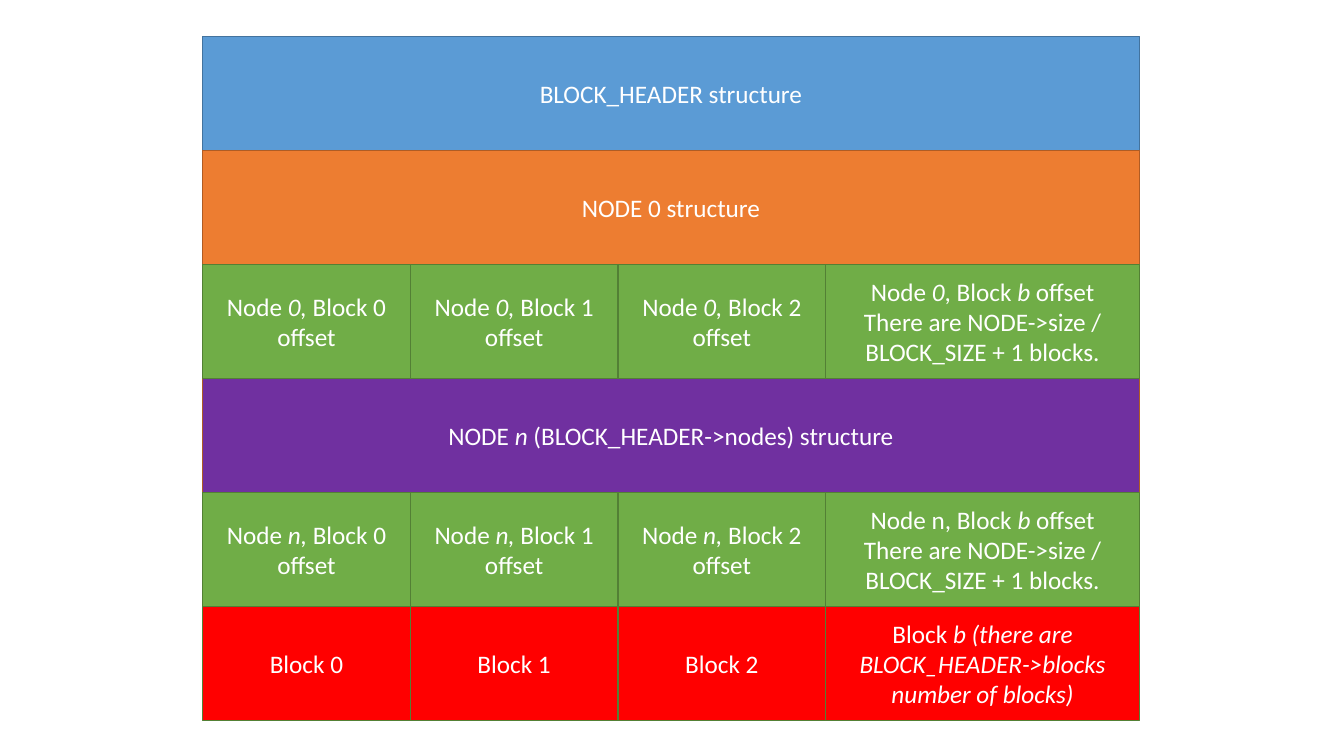
from pptx import Presentation
from pptx.dml.color import RGBColor
from pptx.enum.shapes import MSO_SHAPE as Shape
from pptx.enum.text import MSO_ANCHOR as Anchor, PP_ALIGN as Align
from pptx.util import Inches, Pt

BLUE, BLUE_EDGE = RGBColor(0x5B, 0x9B, 0xD5), RGBColor(0x43, 0x73, 0x9E)
ORANGE, ORANGE_EDGE = RGBColor(0xED, 0x7D, 0x31), RGBColor(0xAF, 0x5C, 0x24)
GREEN, GREEN_EDGE = RGBColor(0x70, 0xAD, 0x47), RGBColor(0x53, 0x80, 0x35)
PURPLE = RGBColor(0x70, 0x30, 0xA0)
RED = RGBColor(0xFF, 0x00, 0x00)
WHITE = RGBColor(0xFF, 0xFF, 0xFF)

# Layout of the memory map, in inches
LEFT, TOP, WIDTH, HEIGHT, ROWS = 2.01, 0.36, 9.29, 6.79, 6
ROW_HEIGHT = HEIGHT / ROWS
BLOCK_WIDTH, NUMBERED_BLOCKS = 2.06, 3


class MemoryMap:
    """Holds the slide and the style of its cells."""

    font_format = {"name": "Calibri", "size": Pt(18)}

    def __init__(self, slide):
        self.slide = slide

    def cell(self, row, left, width, text, fill, edge):
        box = self.slide.shapes.add_shape(
            Shape.RECTANGLE, Inches(left), Inches(TOP + row * ROW_HEIGHT),
            Inches(width), Inches(ROW_HEIGHT))
        box.shadow.inherit = False
        box.fill.solid()
        box.fill.fore_color.rgb = fill
        box.line.color.rgb = edge
        box.line.width = Pt(1)
        self.label(box.text_frame, text)

    def label(self, frame, text):
        """Newlines part paragraphs; asterisks enclose italics."""
        frame.word_wrap = True
        frame.vertical_anchor = Anchor.MIDDLE
        for index, line in enumerate(text.split("\n")):
            paragraph = frame.add_paragraph() if index else frame.paragraphs[0]
            paragraph.alignment = Align.CENTER
            for part, words in enumerate(line.split("*")):
                if words:
                    run = paragraph.add_run()
                    run.text = words
                    run.font.color.rgb = WHITE
                    run.font.italic = part % 2 == 1
                    for key, value in self.font_format.items():
                        setattr(run.font, key, value)

    def band(self, row, text, fill, edge):
        self.cell(row, LEFT, WIDTH, text, fill, edge)

    def block_row(self, row, numbered_text, last_text, fill):
        for block in range(NUMBERED_BLOCKS):
            self.cell(row, LEFT + block * BLOCK_WIDTH, BLOCK_WIDTH,
                      numbered_text.format(block), fill, GREEN_EDGE)
        used = NUMBERED_BLOCKS * BLOCK_WIDTH
        self.cell(row, LEFT + used, WIDTH - used, last_text, fill, GREEN_EDGE)


deck = Presentation()
deck.slide_width, deck.slide_height = Inches(13.33), Inches(7.5)
memory = MemoryMap(deck.slides.add_slide(deck.slide_layouts[6]))

# Header and node structures
memory.band(0, "BLOCK_HEADER structure", BLUE, BLUE_EDGE)
memory.band(1, "NODE 0 structure", ORANGE, ORANGE_EDGE)
memory.band(3, "NODE *n *(BLOCK_HEADER->nodes) structure", PURPLE, ORANGE_EDGE)

# Block offsets of the last node, the blocks, then the offsets of node 0
block_count = "\nThere are NODE->size / BLOCK_SIZE + 1 blocks."
memory.block_row(4, "Node *n, *Block {} offset",
                 "Node n, Block *b* offset" + block_count, GREEN)
memory.block_row(5, "Block {}",
                 "Block *b (there are BLOCK_HEADER->blocks number of blocks)*", RED)
memory.block_row(2, "Node *0, *Block {} offset",
                 "Node *0*, Block *b* offset" + block_count, GREEN)

deck.save("out.pptx")
